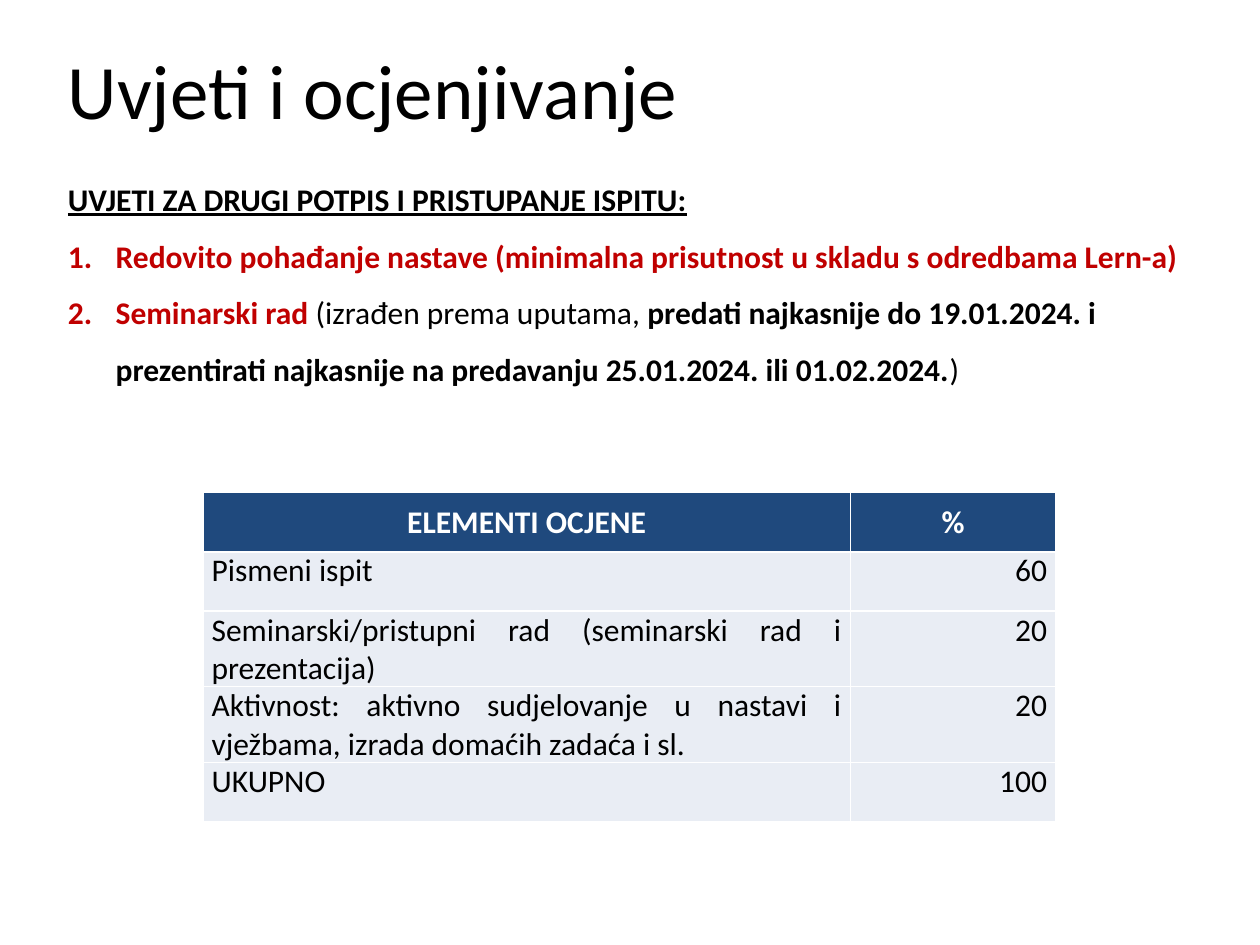
from lxml import etree
from pptx import Presentation
from pptx.dml.color import RGBColor
from pptx.enum import text
from pptx.oxml import ns
from pptx.util import Inches, Pt

BLACK = RGBColor(0x00, 0x00, 0x00)
WHITE = RGBColor(0xFF, 0xFF, 0xFF)
RED = RGBColor(0xC0, 0x00, 0x00)
NAVY = RGBColor(0x1F, 0x49, 0x7D)
PALE = RGBColor(0xE9, 0xED, 0xF4)
FONT = "Calibri"

TITLE = "Uvjeti i ocjenjivanje"
HEADING = "UVJETI ZA DRUGI POTPIS I PRISTUPANJE ISPITU:"
# Each condition is a list of runs: text, colour, bold
CONDITIONS = [
    [("Redovito pohađanje nastave (minimalna prisutnost u skladu s odredbama Lern-a)", RED, True)],
    [("Seminarski rad ", RED, True),
     ("(izrađen prema uputama, ", BLACK, False),
     ("predati najkasnije do 19.01.2024. i prezentirati najkasnije na predavanju "
      "25.01.2024. ili 01.02.2024.", BLACK, True),
     (")", BLACK, False)],
]
GRADES = [
    ("ELEMENTI OCJENE", "%"),
    ("Pismeni ispit", "60"),
    ("Seminarski/pristupni rad (seminarski rad i prezentacija)", "20"),
    ("Aktivnost: aktivno sudjelovanje u nastavi i vježbama, izrada domaćih zadaća i sl.", "20"),
    ("UKUPNO", "100"),
]
COLUMN_WIDTHS = (5.14, 1.63)
ROW_HEIGHT = 0.47


def add_run(p, words, color, size=18, bold=False, underline=False):
    r = p.add_run()
    r.text = words
    f = r.font
    f.name, f.size, f.bold, f.underline = FONT, Pt(size), bold, underline
    f.color.rgb = color


def add_text_frame(slide, left, top, width, height):
    tf = slide.shapes.add_textbox(*map(Inches, (left, top, width, height))).text_frame
    tf.word_wrap = True
    return tf


def number(p):
    """Give the paragraph an automatic number and a hanging indent."""
    pPr = p._p.get_or_add_pPr()
    pPr.set("marL", str(Inches(0.38)))
    pPr.set("indent", str(-Inches(0.38)))
    etree.SubElement(pPr, ns.qn("a:buFont"), typeface="+mj-lt")
    etree.SubElement(pPr, ns.qn("a:buAutoNum"), type="arabicPeriod")


def add_borders(cell):
    """Draw a thin white line on all sides; call before filling the cell."""
    tcPr = cell._tc.get_or_add_tcPr()
    for side in ("lnL", "lnR", "lnT", "lnB"):
        ln = etree.SubElement(tcPr, ns.qn(f"a:{side}"), w=str(Pt(1)))
        fill = etree.SubElement(ln, ns.qn("a:solidFill"))
        etree.SubElement(fill, ns.qn("a:srgbClr"), val=str(WHITE))


def fill_cell(cell, words, header, align):
    add_borders(cell)
    cell.fill.solid()
    cell.fill.fore_color.rgb = NAVY if header else PALE
    cell.margin_left = cell.margin_right = Inches(0.07)
    cell.margin_top = cell.margin_bottom = 0
    cell.vertical_anchor = text.MSO_ANCHOR.MIDDLE if header else text.MSO_ANCHOR.TOP
    p = cell.text_frame.paragraphs[0]
    p.alignment = align
    p.space_before = Pt(6)
    add_run(p, words, WHITE if header else BLACK, bold=header)


def add_grades(slide):
    table = slide.shapes.add_table(
        len(GRADES), len(COLUMN_WIDTHS), Inches(1.61), Inches(3.91),
        Inches(sum(COLUMN_WIDTHS)), Inches(ROW_HEIGHT * len(GRADES))).table
    for column, width in zip(table.columns, COLUMN_WIDTHS):
        column.width = Inches(width)
    body_aligns = (text.PP_ALIGN.JUSTIFY, text.PP_ALIGN.RIGHT)
    for i, row in enumerate(GRADES):
        table.rows[i].height = Inches(ROW_HEIGHT)
        for j, words in enumerate(row):
            align = body_aligns[j] if i else text.PP_ALIGN.CENTER
            fill_cell(table.cell(i, j), words, i == 0, align)


def main():
    prs = Presentation()
    prs.slide_width, prs.slide_height = Inches(10), Inches(7.5)
    slide = prs.slides.add_slide(prs.slide_layouts[6])

    tf = add_text_frame(slide, 0.44, 0.08, 9, 1.25)
    tf.vertical_anchor = text.MSO_ANCHOR.MIDDLE
    add_run(tf.paragraphs[0], TITLE, BLACK, size=44)

    add_grades(slide)

    tf = add_text_frame(slide, 0.44, 1.23, 9.13, 1.87)
    tf.auto_size = text.MSO_AUTO_SIZE.SHAPE_TO_FIT_TEXT
    p = tf.paragraphs[0]
    p.line_spacing = 1.5
    add_run(p, HEADING, BLACK, bold=True, underline=True)
    for runs in CONDITIONS:
        p = tf.add_paragraph()
        p.line_spacing = 1.5
        number(p)
        for words, color, bold in runs:
            add_run(p, words, color, bold=bold)

    prs.save("out.pptx")


if __name__ == "__main__":
    main()
